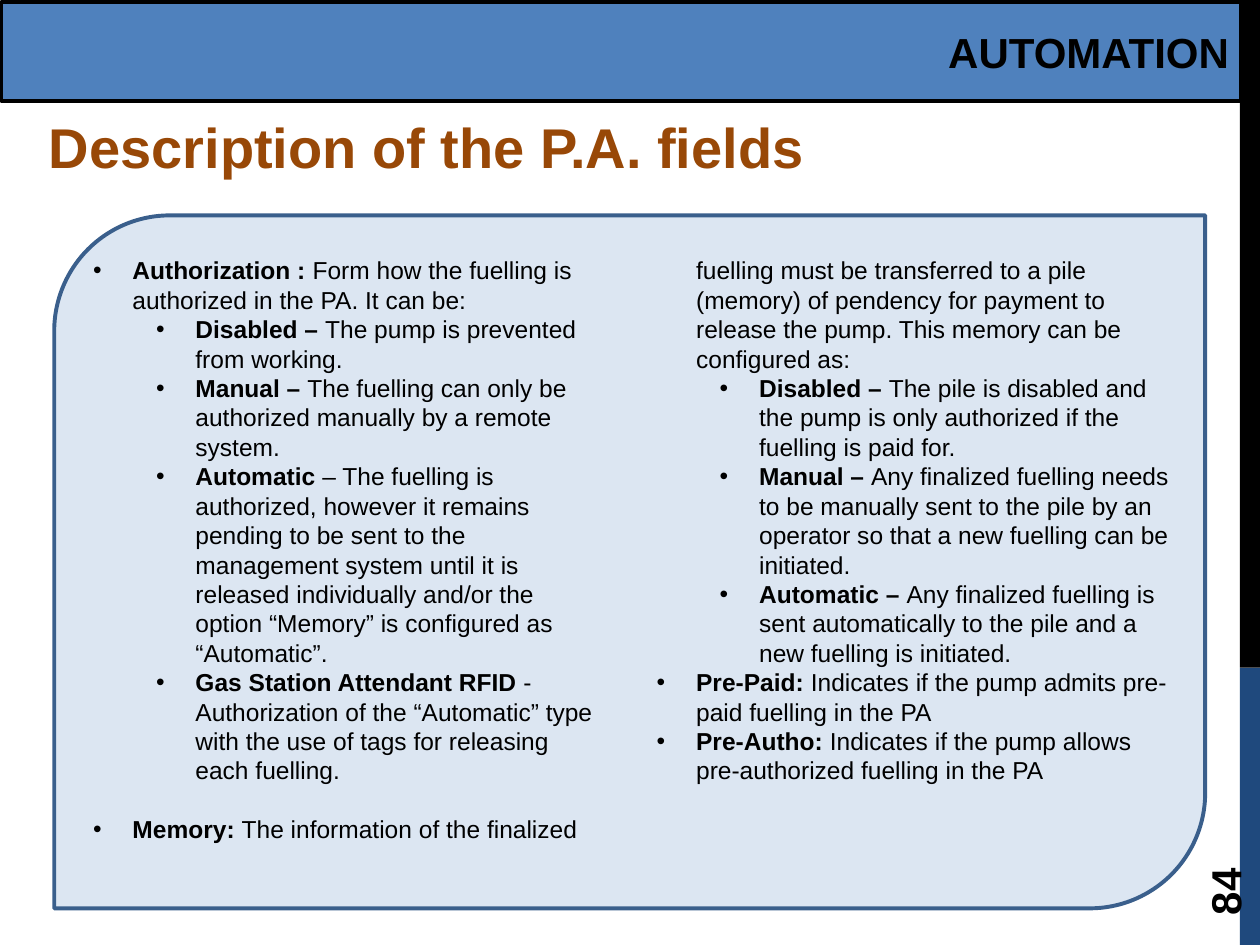
from pptx import Presentation
from pptx.dml.color import RGBColor
from pptx.enum import shapes, text
from pptx.oxml.ns import qn
from pptx.util import Pt
from lxml import etree

# Content
HEADER = "AUTOMATION"
TITLE = "Description of the P.A. fields"
PAGE = "84"
FIELDS = [  # level, bold lead, description
    (0, "Authorization :", " Form how the fuelling is authorized in the PA. It can be:"),
    (1, "Disabled – ", "The pump is prevented from working."),
    (1, "Manual – ", "The fuelling can only be authorized manually by a remote system."),
    (1, "Automatic", " – The fuelling is authorized, however it remains pending to be sent "
     "to the management system until it is released individually and/or the option "
     "“Memory” is configured as “Automatic”."),
    (1, "Gas Station Attendant RFID", " - Authorization of the “Automatic” type with the "
     "use of tags for releasing each fuelling."),
    (0, "Memory: ", "The information of the finalized fuelling must be transferred to a pile "
     "(memory) of pendency for payment to release the pump. This memory can be configured as:"),
    (1, "Disabled – ", "The pile is disabled and the pump is only authorized if the fuelling "
     "is paid for."),
    (1, "Manual – ", "Any finalized fuelling needs to be manually sent to the pile by an "
     "operator so that a new fuelling can be initiated."),
    (1, "Automatic – ", "Any finalized fuelling is sent automatically to the pile and a new "
     "fuelling is initiated."),
    (0, "Pre-Paid: ", "Indicates if the pump admits pre-paid fuelling in the PA"),
    (0, "Pre-Autho: ", "Indicates if the pump allows pre-authorized fuelling in the PA"),
]
SPACED_LEAD = "Memory: "

# Format
BLACK = RGBColor(0, 0, 0)
NAVY = RGBColor(0x1F, 0x49, 0x7D)
BLUE = RGBColor(0x4F, 0x81, 0xBD)
PALE = RGBColor(0xDC, 0xE6, 0xF2)
EDGE = RGBColor(0x3A, 0x5F, 0x8C)
BROWN = RGBColor(0x98, 0x48, 0x07)
WIDTH, HEIGHT = 720, 540
BAR_LEFT, BAR_SPLIT = 708.5, 381.6
LINE_PITCH, HANG, LEVEL_STEP, COLUMN_GAP = 16.8, 22.5, 36, 28


def set_font(font, size, color=BLACK, bold=True):
    font.color.rgb = color
    for name, value in {"name": "Arial", "size": Pt(size), "bold": bold}.items():
        setattr(font, name, value)


def set_frame(frame, **values):
    for name, value in values.items():
        setattr(frame, name, value)


def add_panel(slide, kind, box, fill, line=None):
    panel = slide.shapes.add_shape(kind, *map(Pt, box))
    panel.shadow.inherit = False
    panel.fill.solid()
    panel.fill.fore_color.rgb = fill
    if line is None:
        panel.line.fill.background()
    else:
        panel.line.color.rgb = line
        panel.line.width = Pt(2.25)
    return panel


def add_field(paragraph, level, lead, description):
    paragraph.level = level
    props = paragraph._p.get_or_add_pPr()
    props.set("marL", str(Pt(HANG + level * LEVEL_STEP)))
    props.set("indent", str(-Pt(HANG)))
    etree.SubElement(props, qn("a:buFont")).set("typeface", "Arial")
    etree.SubElement(props, qn("a:buChar")).set("char", "•")
    paragraph.alignment = text.PP_ALIGN.LEFT
    paragraph.line_spacing = Pt(LINE_PITCH)
    if lead == SPACED_LEAD:
        paragraph.space_before = Pt(LINE_PITCH)
    for words, bold in ((lead, True), (description, False)):
        run = paragraph.add_run()
        run.text = words
        set_font(run.font, 14, bold=bold)


def main():
    deck = Presentation()
    deck.slide_width, deck.slide_height = Pt(WIDTH), Pt(HEIGHT)
    slide = deck.slides.add_slide(deck.slide_layouts[5])
    rectangle = shapes.MSO_SHAPE.RECTANGLE

    # Side bar
    bar_width = WIDTH - BAR_LEFT
    add_panel(slide, rectangle, (BAR_LEFT, BAR_SPLIT, bar_width, HEIGHT - BAR_SPLIT), NAVY)
    add_panel(slide, rectangle, (BAR_LEFT, 0, bar_width, BAR_SPLIT), BLACK)

    # Header band
    header = add_panel(slide, rectangle, (0.9, 0.9, 708.5, 56.9), BLUE, BLACK)
    set_frame(header.text_frame, text=HEADER, vertical_anchor=text.MSO_ANCHOR.MIDDLE)
    heading = header.text_frame.paragraphs[0]
    heading.alignment = text.PP_ALIGN.RIGHT
    set_font(heading.font, 24)

    # Page number, reading upwards
    page = slide.shapes.add_textbox(Pt(648), Pt(463.7), Pt(103.7), Pt(28.8))
    page.rotation = 270
    set_frame(page.text_frame, text=PAGE, word_wrap=True,
              vertical_anchor=text.MSO_ANCHOR.MIDDLE)
    set_font(page.text_frame.paragraphs[0].font, 24)

    # Title
    title = slide.shapes.title
    title.left, title.top, title.width, title.height = map(Pt, (20.7, 60.5, 639.5, 46))
    set_frame(title.text_frame, text=TITLE, word_wrap=True,
              auto_size=text.MSO_AUTO_SIZE.NONE, vertical_anchor=text.MSO_ANCHOR.TOP)
    title.text_frame.paragraphs[0].alignment = text.PP_ALIGN.LEFT
    set_font(title.text_frame.paragraphs[0].font, 32, BROWN)

    # Field descriptions in two columns
    card = add_panel(slide, shapes.MSO_SHAPE.ROUND_2_DIAG_RECTANGLE,
                     (31, 123.1, 657.7, 396), PALE, EDGE)
    frame = card.text_frame
    set_frame(frame, word_wrap=True, vertical_anchor=text.MSO_ANCHOR.TOP,
              margin_left=Pt(2.9), margin_right=0, margin_top=Pt(3.6), margin_bottom=Pt(3.6))
    body = frame._txBody.find(qn("a:bodyPr"))
    body.set("numCol", "2")
    body.set("spcCol", str(Pt(COLUMN_GAP)))
    for index, field in enumerate(FIELDS):
        add_field(frame.add_paragraph() if index else frame.paragraphs[0], *field)

    deck.save("out.pptx")


if __name__ == "__main__":
    main()
